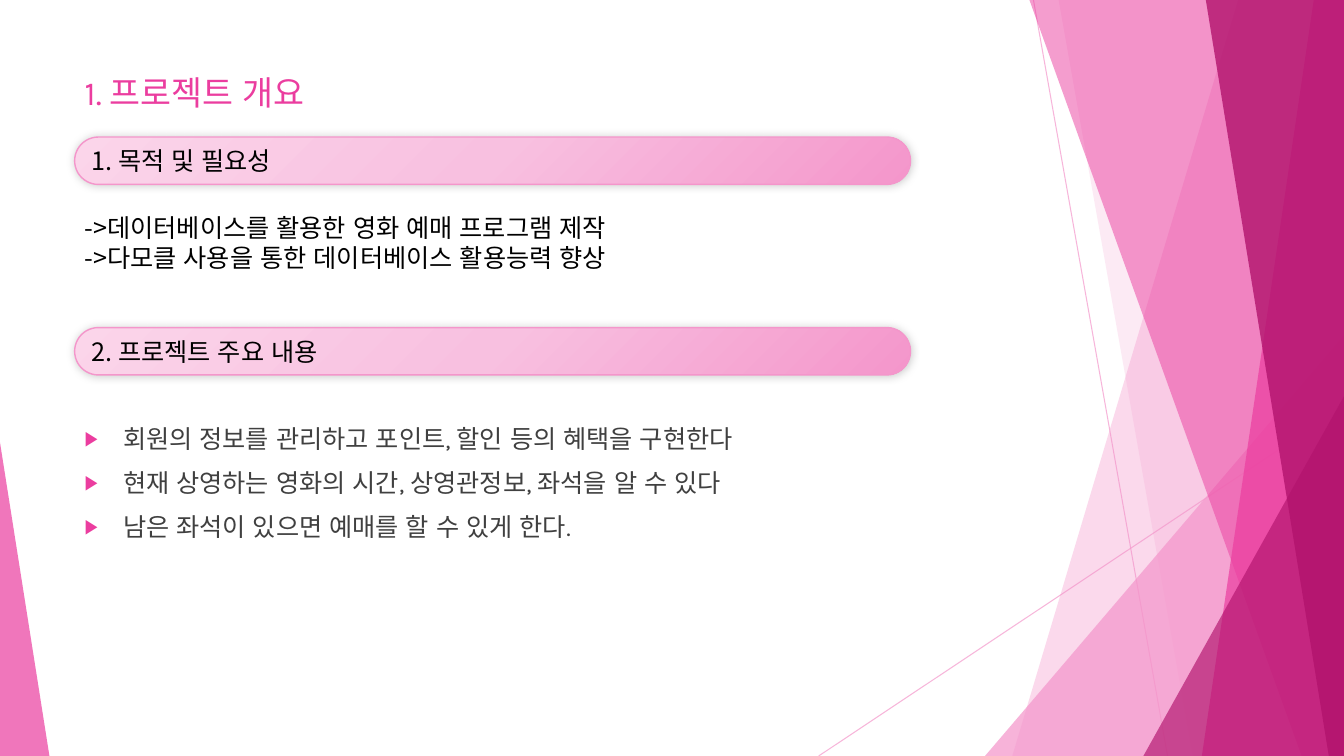
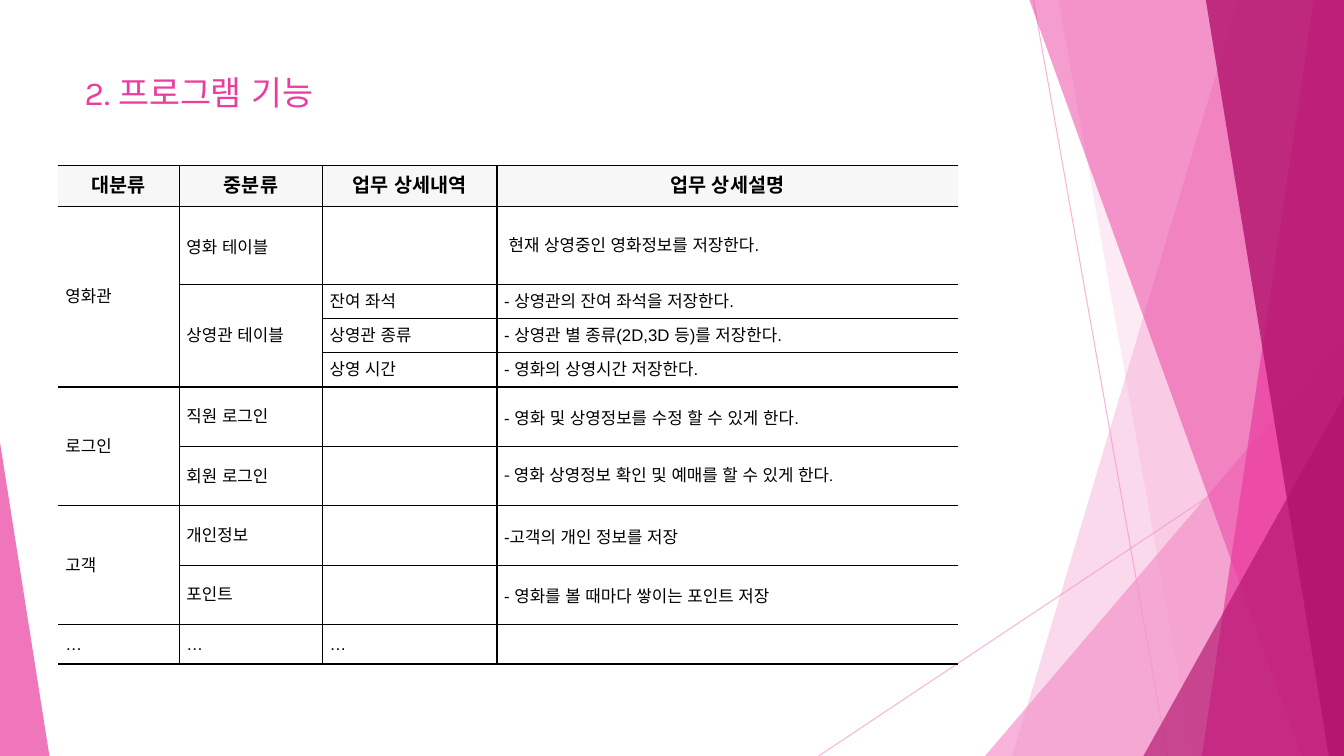
from lxml import etree
from pptx import Presentation, util as u
from pptx.dml.color import RGBColor
from pptx.enum import shapes, text
from pptx.oxml.ns import qn

# Shared look
WIDTH, HEIGHT = 13.33, 7.5
LEFT, TEXT_WIDTH = 0.74, 9.4
PALE, PINK, DEEP = "F496CB", "EB3D9F", "B2136D"
BLACK, GREY, HEADER = "000000", "404040", "F7F7F7"
KOREAN, LATIN, TABLE_FONT = "Noto Sans CJK KR", "Karla", "Arial"
LINE_RATIO = 1.19

# Ribbons: top x and bottom x of the left edge; triangles: left, top, width, apex share
RAYS = [((10.25, 0), (11.58, HEIGHT)), ((WIDTH, 4.03), (8.12, HEIGHT))]
RIBBONS = [
    ("band", (12.28, 10.04), PALE, 36),
    ("band", (10.5, 11.83), PALE, 20),
    ("triangle", (9.77, 3.33, 3.56, 1), PALE, 72),
    ("band", (10.21, 12.91), PINK, 50),
    ("band", (13.03, 11.92), PINK, 70),
    ("band", (11.96, 13.18), DEEP, 80),
    ("triangle", (11.34, 3.93, 1.99, 1), DEEP, 66),
    ("triangle", (0, 4.39, 0.49, 0), PINK, 70),
]

# Slide 1 content
OVERVIEW = "1. 프로젝트 개요"
PILLS = [("1. 목적 및 필요성", 1.36), ("2. 프로젝트 주요 내용", 3.25)]
PILL_STOPS = [(0, "FBD5EA"), (50, "F8C0E0"), (100, PALE)]
PURPOSES = ["->데이터베이스를 활용한 영화 예매 프로그램 제작",
            "->다모클 사용을 통한 데이터베이스 활용능력 향상"]
CONTENTS = ["회원의 정보를 관리하고 포인트, 할인 등의 혜택을 구현한다",
            "현재 상영하는 영화의 시간, 상영관정보, 좌석을 알 수 있다",
            "남은 좌석이 있으면 예매를 할 수 있게 한다."]

# Slide 2 content; None continues the cell above
FEATURES = "2. 프로그램 기능"
ROWS = [
    ("대분류", "중분류", "업무 상세내역", "업무 상세설명"),
    ("영화관", "영화 테이블", "", " 현재 상영중인 영화정보를 저장한다."),
    (None, "상영관 테이블", "잔여 좌석", "- 상영관의 잔여 좌석을 저장한다."),
    (None, None, "상영관 종류", "- 상영관 별 종류(2D,3D 등)를 저장한다."),
    (None, None, "상영 시간", "- 영화의 상영시간 저장한다."),
    ("로그인", "직원 로그인", "", "- 영화 및 상영정보를 수정 할 수 있게 한다."),
    (None, "회원 로그인", "", "- 영화 상영정보 확인 및 예매를 할 수 있게 한다."),
    ("고객", "개인정보", "", "-고객의 개인 정보를 저장"),
    (None, "포인트", "", "- 영화를 볼 때마다 쌓이는 포인트 저장"),
    ("…", "…", "…", ""),
]
COLUMN_WIDTHS = [1.2, 1.42, 1.73, 4.57]
ROW_HEIGHTS = [0.41, 0.77] + [0.34] * 3 + [0.59] * 4 + [0.39]
LOOSE_CELLS = {(1, 1), (5, 3), (7, 3), (8, 3)}


def color(value):
    return RGBColor.from_string(value)


def inches(*values):
    return [u.Inches(value) for value in values]


def child(parent, tag, **attributes):
    node = etree.SubElement(parent, qn(tag))
    for name, value in attributes.items():
        node.set(name, str(value))
    return node


def set_all(target, **values):
    for name, value in values.items():
        setattr(target, name, value)


def fade(element, percent):
    for node in element.iter(qn("a:srgbClr")):
        child(node, "a:alpha", val=percent * 1000)


def write(para, words, size, font, ink, bold=False):
    span = para.add_run()
    span.text = words
    set_all(span.font, size=u.Pt(size), name=font, bold=bold)
    span.font.color.rgb = color(ink)
    child(span.font._element, "a:ea", typeface=TABLE_FONT)


def write_lines(box, lines, size, font, ink, gap=0):
    frame = box.text_frame
    set_all(frame, word_wrap=True, auto_size=text.MSO_AUTO_SIZE.NONE,
            vertical_anchor=text.MSO_ANCHOR.TOP)
    for index, words in enumerate(lines):
        para = frame.add_paragraph() if index else frame.paragraphs[0]
        set_all(para, alignment=text.PP_ALIGN.LEFT, space_before=u.Pt(gap),
                line_spacing=u.Pt(round(size * LINE_RATIO, 1)))
        write(para, words, size, font, ink)
    return frame.paragraphs


def place(box, left, top, width, height):
    set_all(box, **dict(zip(("left", "top", "width", "height"),
                            inches(left, top, width, height))))


def add_page(deck, layout, heading):
    page = deck.slides.add_slide(deck.slide_layouts[layout])
    place(page.shapes.title, LEFT, 0.67, TEXT_WIDTH, 1.44)
    write_lines(page.shapes.title, [heading], 24, LATIN, PINK)
    return page


def decorate_master(deck, page):
    """Draw the ribbons, then move them behind everything on the master."""
    parts = []
    for start, end in RAYS:
        ray = page.shapes.add_connector(shapes.MSO_CONNECTOR.STRAIGHT,
                                        *inches(*start, *end))
        ray.line.width = u.Pt(0.75)
        ray.line.color.rgb = color(PALE)
        fade(ray._element, 70)
        child(ray._element.spPr, "a:effectLst")
        parts.append(ray)
    for kind, where, tint, opacity in RIBBONS:
        if kind == "band":
            top_x, bottom_x, right, bottom = inches(*where, WIDTH, HEIGHT)
            builder = page.shapes.build_freeform(top_x, 0)
            builder.add_line_segments([(right, 0), (right, bottom), (bottom_x, bottom)])
            shape = builder.convert_to_shape()
        else:
            left, top, width, apex = where
            shape = page.shapes.add_shape(shapes.MSO_SHAPE.ISOSCELES_TRIANGLE,
                                          *inches(left, top, width, HEIGHT - top))
            shape.adjustments[0] = apex
        shape.shadow.inherit = False
        shape.fill.solid()
        shape.fill.fore_color.rgb = color(tint)
        fade(shape._element, opacity)
        shape.line.fill.background()
        parts.append(shape)
    tree = deck.slide_master.shapes.element
    for index, part in enumerate(parts):
        part._element.xpath(".//p:cNvPr")[0].set("id", str(100 + index))
        tree.insert(2 + index, part._element)


def add_pill(page, words, top):
    pill = page.shapes.add_shape(shapes.MSO_SHAPE.ROUNDED_RECTANGLE,
                                 *inches(LEFT, top, 8.29, 0.47))
    pill.adjustments[0] = 0.5
    pill.line.color.rgb = color(PALE)
    pill.line.width = u.Pt(1)
    # Diagonal gradient
    pill.fill.gradient()
    gradient = pill._element.spPr.find(qn("a:gradFill"))
    for node in list(gradient):
        gradient.remove(node)
    stops = child(gradient, "a:gsLst")
    for share, tint in PILL_STOPS:
        child(child(stops, "a:gs", pos=share * 1000), "a:srgbClr", val=tint)
    child(gradient, "a:lin", ang=45 * 60000, scaled=0)
    # Soft shadow
    pill.shadow.inherit = False
    effects = pill._element.spPr.find(qn("a:effectLst"))
    shadow = child(effects, "a:outerShdw", blurRad=u.Pt(6), dist=0,
                   dir=315 * 60000, rotWithShape=0)
    child(shadow, "a:srgbClr", val=BLACK)
    fade(shadow, 20)
    pill.text_frame.vertical_anchor = text.MSO_ANCHOR.MIDDLE
    para = pill.text_frame.paragraphs[0]
    para.alignment = text.PP_ALIGN.LEFT
    write(para, words, 18, KOREAN, BLACK)


def add_bullet(para):
    props = para._p.get_or_add_pPr()
    props.set("marL", str(u.Inches(0.38)))
    props.set("indent", str(-u.Inches(0.38)))
    child(child(props, "a:buClr"), "a:srgbClr", val=PINK)
    child(props, "a:buSzPct", val=80000)
    child(props, "a:buChar", char="▶")


def draw_borders(cell, column):
    props = cell._tc.get_or_add_tcPr()
    sides = ["a:lnL"] * (column > 0) + ["a:lnR"] * (column < len(COLUMN_WIDTHS) - 1)
    for index, side in enumerate(sides + ["a:lnT", "a:lnB"]):
        line = etree.Element(qn(side), w=str(u.Pt(1)))
        child(child(line, "a:solidFill"), "a:srgbClr", val=BLACK)
        props.insert(index, line)


def add_feature_table(page):
    frame = page.shapes.add_table(
        len(ROWS), len(COLUMN_WIDTHS),
        *inches(0.58, 1.64, sum(COLUMN_WIDTHS), sum(ROW_HEIGHTS)))
    table = frame.table
    set_all(table, first_row=False, horz_banding=False)
    # Plain style without grid
    style = table._tbl.tblPr.find(qn("a:tableStyleId"))
    style.text = "{2D5ABB26-0587-4C30-8999-92F81FD0307C}"
    for column, width in zip(table.columns, COLUMN_WIDTHS):
        column.width = u.Inches(width)
    for row, height in zip(table.rows, ROW_HEIGHTS):
        row.height = u.Inches(height)
    for r, row in enumerate(ROWS):
        for c, words in enumerate(row):
            cell, header = table.cell(r, c), r == 0
            side, edge = inches(*((0.1, 0.05) if header else (0.07, 0)))
            set_all(cell, margin_left=side, margin_right=side, margin_top=edge,
                    margin_bottom=edge, vertical_anchor=text.MSO_ANCHOR.MIDDLE)
            para = cell.text_frame.paragraphs[0]
            if header:
                para.alignment = text.PP_ALIGN.CENTER
                cell.fill.solid()
                cell.fill.fore_color.rgb = color(HEADER)
            else:
                cell.fill.background()
            if (r, c) in LOOSE_CELLS:
                para.line_spacing = 1.2
            font = LATIN if (r, c) == (6, 3) else TABLE_FONT
            write(para, words or "", 14 if header else 12, font, BLACK, header)
            if words is not None:
                draw_borders(cell, c)
                last = r
                while last + 1 < len(ROWS) and ROWS[last + 1][c] is None:
                    last += 1
                if last > r:
                    cell.merge(table.cell(last, c))


def main():
    deck = Presentation()
    deck.slide_width, deck.slide_height = inches(WIDTH, HEIGHT)

    # Project overview
    page = add_page(deck, 1, OVERVIEW)
    decorate_master(deck, page)
    for words, top in PILLS:
        add_pill(page, words, top)
    purpose = page.shapes.add_textbox(*inches(LEFT, 2.06, TEXT_WIDTH, 0.8))
    write_lines(purpose, PURPOSES, 18, KOREAN, BLACK)
    body = page.placeholders[1]
    place(body, LEFT, 4.15, TEXT_WIDTH, 1.88)
    for para in write_lines(body, CONTENTS, 18, LATIN, GREY, gap=10):
        add_bullet(para)

    # Program features
    add_feature_table(add_page(deck, 5, FEATURES))
    deck.save("out.pptx")


if __name__ == "__main__":
    main()
